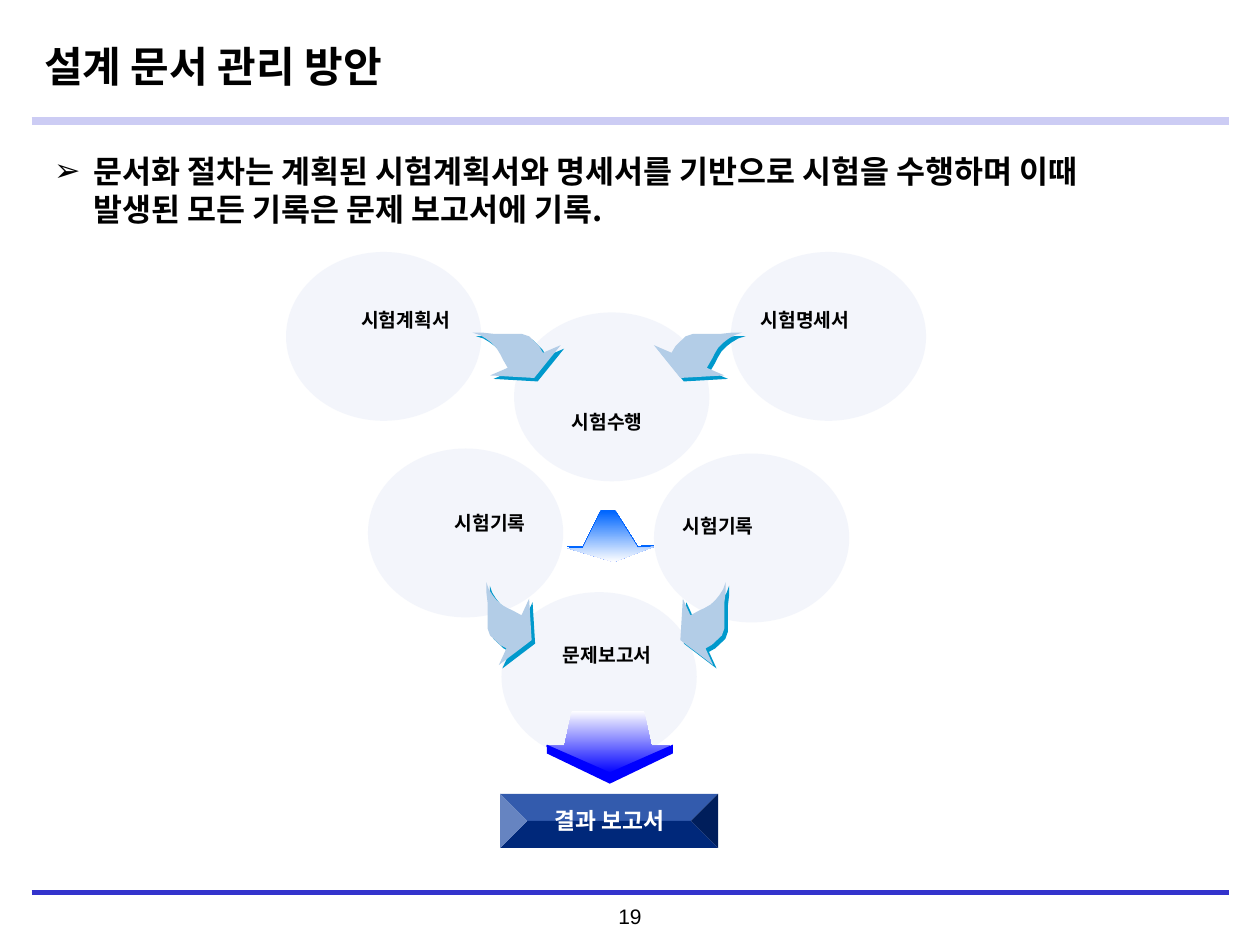
from lxml import etree
from pptx import Presentation
from pptx.dml.color import RGBColor
from pptx.enum.shapes import MSO_CONNECTOR, MSO_SHAPE
from pptx.enum.text import MSO_ANCHOR, MSO_AUTO_SIZE, PP_ALIGN
from pptx.oxml.ns import qn
from pptx.util import Inches, Pt

STRAIGHT = MSO_CONNECTOR.STRAIGHT
ELLIPSE, BEVEL = MSO_SHAPE.OVAL, MSO_SHAPE.BEVEL
MIDDLE = MSO_ANCHOR.MIDDLE
NO_FIT = MSO_AUTO_SIZE.NONE
LEFT, CENTER = PP_ALIGN.LEFT, PP_ALIGN.CENTER

LATIN, KOREAN = "Arial", "Noto Sans CJK KR"
BLACK, WHITE, BLUE, SKY = "000000", "FFFFFF", "0000FF", "0066FF"
PALE, LAVENDER, INDIGO, NAVY = "E8EDF8", "CCCCF4", "3333CC", "003399"
ARROW, ARROW_SHADOW = "B3CDE7", "0099CC"

CIRCLE_SIZE = (1.55, 1.34)
CIRCLES = [(2.92, 3.56), (2.27, 2), (4.08, 2.48), (5.8, 2), (5.19, 3.6), (3.98, 4.7)]
LABEL_SIZE = (1.16, 0.32)
LABELS = [
    ("시험명세서", 5.81, 2.36), ("시험계획서", 2.64, 2.36), ("시험수행", 4.24, 3.17),
    ("시험기록", 3.31, 3.97), ("시험기록", 5.12, 3.99), ("문제보고서", 4.24, 5.02),
]

# Curved arrow from its tail at the origin, bending right and down
CURVE = [
    (0, 0), (0.06, 0.02), (0.11, 0.05), (0.15, 0.08), (0.19, 0.12), (0.22, 0.17),
    (0.24, 0.21), (0.28, 0.28), (0.14, 0.34), (0.49, 0.36), (0.70, 0.10),
    (0.56, 0.16), (0.53, 0.11), (0.49, 0.07), (0.45, 0.03), (0.39, 0.01),
    (0.30, 0.01), (0.17, 0.01), (0.08, 0),
]
UPPER_LEFT, UPPER_AXIS = (3.75, 2.64), 4.82
LOWER_LEFT, LOWER_AXIS = (3.86, 4.62), 4.81
LOWER_STRETCH = 0.94

SPREAD_ARROW = [(4.77, 4.06), (4.63, 4.35), (4.5, 4.35), (4.87, 4.46),
                (5.19, 4.34), (5.06, 4.35), (4.88, 4.06)]
RESULT_ARROW = [(4.54, 5.64), (5.11, 5.64), (5.17, 5.92), (5.32, 5.92),
                (4.83, 6.14), (4.33, 5.92), (4.48, 5.92)]
RESULT_EDGE = [(4.34, 5.91), (4.84, 6.13), (4.84, 6.22), (4.34, 5.98)]
RESULT_AXIS = 4.84


def color(value):
    return RGBColor.from_string(value)


def apply(target, values):
    for name, value in values.items():
        setattr(target, name, value)


def mirror(points, axis):
    return [(2 * axis - x, y) for x, y in points]


class SlideBuilder:
    def __init__(self, slide):
        self.slide = slide
        self.shapes = slide.shapes

    def place(self, shape, left, top, width, height):
        apply(shape, {"left": Inches(left), "top": Inches(top),
                      "width": Inches(width), "height": Inches(height)})

    def set_text(self, box, text, size, bold=True, ink=BLACK, font=KOREAN,
                 align=CENTER, leading=None, bullet=None, wrap=True):
        frame = box.text_frame
        apply(frame, {"word_wrap": wrap, "auto_size": NO_FIT,
                      "vertical_anchor": MIDDLE,
                      "margin_left": Inches(0.1), "margin_right": Inches(0.1),
                      "margin_top": Inches(0.05), "margin_bottom": Inches(0.05)})
        para = frame.paragraphs[0]
        apply(para, {"alignment": align, "space_before": Pt(0)})
        if leading:
            para.line_spacing = Pt(leading)
        if bullet:
            properties = para._p.get_or_add_pPr()
            properties.set("marL", str(Inches(0.31)))
            properties.set("indent", str(-Inches(0.31)))
            etree.SubElement(properties, qn("a:buChar"), char=bullet)
        span = para.add_run()
        span.text = text
        apply(span.font, {"name": font, "size": Pt(size), "bold": bold})
        span.font.color.rgb = color(ink)
        etree.SubElement(span._r.get_or_add_rPr(), qn("a:ea"), typeface=KOREAN)

    def text(self, text, left, top, width, height, size, **style):
        box = self.shapes.add_textbox(
            Inches(left), Inches(top), Inches(width), Inches(height))
        self.set_text(box, text, size, **style)

    def rule(self, y, ink, weight):
        line = self.shapes.add_connector(
            STRAIGHT, Inches(0.25), Inches(y), Inches(9.75), Inches(y))
        line.line.color.rgb = color(ink)
        line.line.width = Pt(weight)
        etree.SubElement(line._element.spPr, qn("a:effectLst"))

    def paint(self, shape, fill):
        """Fill with one colour, or with a (top, bottom) gradient."""
        shape.shadow.inherit = False
        shape.line.fill.background()
        if isinstance(fill, tuple):
            shape.fill.gradient()
            shape.fill.gradient_angle = 270
            for stop, shade in zip(shape.fill.gradient_stops, fill):
                stop.color.rgb = color(shade)
        else:
            shape.fill.solid()
            shape.fill.fore_color.rgb = color(fill)

    def preset(self, kind, left, top, width, height, fill, opacity=100):
        shape = self.shapes.add_shape(
            kind, Inches(left), Inches(top), Inches(width), Inches(height))
        self.paint(shape, fill)
        if opacity < 100:
            shade = shape._element.spPr.find(f"{qn('a:solidFill')}/{qn('a:srgbClr')}")
            etree.SubElement(shade, qn("a:alpha"), val=str(opacity * 1000))
        return shape

    def outline(self, points, fill, shadow=None):
        """Draw a closed polygon; shadow is (colour, distance in points, angle)."""
        start, *others = [(Inches(x), Inches(y)) for x, y in points]
        builder = self.shapes.build_freeform(*start)
        builder.add_line_segments(others, close=True)
        shape = builder.convert_to_shape()
        self.paint(shape, fill)
        if shadow:
            ink, distance, angle = shadow
            effects = shape._element.spPr.find(qn("a:effectLst"))
            outer = etree.SubElement(
                effects, qn("a:outerShdw"), blurRad="0", dist=str(Pt(distance)),
                dir=str(angle * 60000), algn="ctr", rotWithShape="0")
            etree.SubElement(outer, qn("a:srgbClr"), val=ink)


def main():
    deck = Presentation()
    deck.slide_width, deck.slide_height = Inches(10), Inches(7.5)
    page = SlideBuilder(deck.slides.add_slide(deck.slide_layouts[1]))

    title, body = page.slide.placeholders
    page.place(title, 0.25, 0.14, 7.64, 0.77)
    page.set_text(title, "설계 문서 관리 방안", 24, font=LATIN, align=LEFT)
    page.place(body, 0.33, 1.15, 9.04, 0.71)
    page.set_text(body, "문서화 절차는 계획된 시험계획서와 명세서를 기반으로 시험을 수행하며 "
                  "이때 발생된 모든 기록은 문제 보고서에 기록.",
                  18, align=LEFT, leading=22, bullet="➢")

    for y, ink, weight in [(0.96, LAVENDER, 4.5), (7.08, INDIGO, 2), (7.09, INDIGO, 2)]:
        page.rule(y, ink, weight)
    page.text("19", 4.19, 7.12, 1.62, 0.3, 12, bold=False, font=LATIN)

    for left, top in CIRCLES:
        page.preset(ELLIPSE, left, top, *CIRCLE_SIZE, PALE, opacity=50)
    for label, left, top in LABELS:
        page.text(label, left, top, *LABEL_SIZE, 11, leading=16)

    page.outline(RESULT_ARROW, (WHITE, BLUE))
    for edge in (RESULT_EDGE, mirror(RESULT_EDGE, RESULT_AXIS)):
        page.outline(edge, BLUE)

    left, top = UPPER_LEFT
    upper = [(left + x, top + y) for x, y in CURVE]
    left, top = LOWER_LEFT
    lower = [(left + y, top + x * LOWER_STRETCH) for x, y in CURVE]
    for points, axis in [(upper, UPPER_AXIS), (lower, LOWER_AXIS)]:
        for arrow in (points, mirror(points, axis)):
            page.outline(arrow, ARROW, (ARROW_SHADOW, 2.8, 45))
    page.outline(SPREAD_ARROW, (SKY, WHITE), (SKY, 1, 270))

    result = page.preset(BEVEL, 3.97, 6.3, 1.73, 0.43, NAVY)
    result.adjustments[0] = 0.5
    page.set_text(result, "결과 보고서", 13, ink=WHITE, wrap=False)

    deck.save("out.pptx")


if __name__ == "__main__":
    main()
